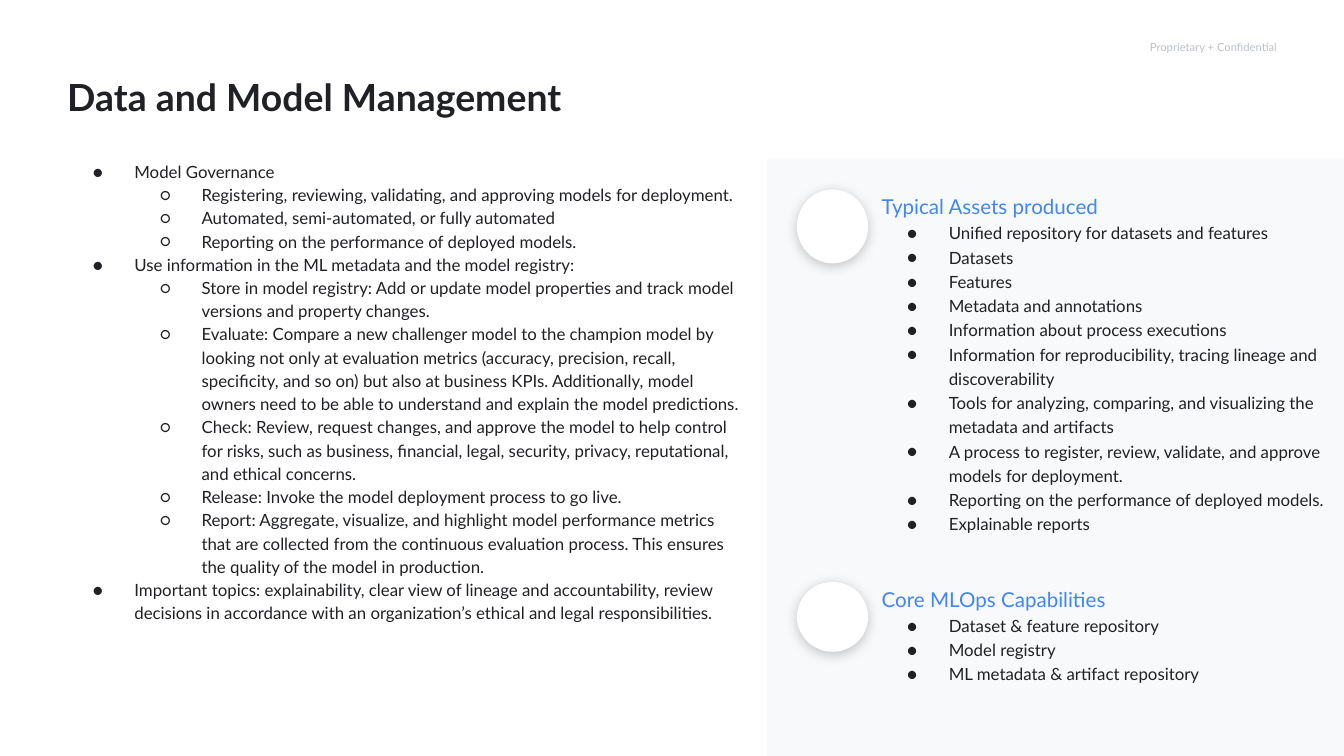
from lxml.etree import SubElement
from pptx import Presentation
from pptx.dml.color import RGBColor
from pptx.enum.shapes import MSO_SHAPE as SHAPE
from pptx.enum.text import MSO_ANCHOR as ANCHOR, PP_ALIGN as ALIGN
from pptx.oxml.ns import qn
from pptx.util import Inches, Pt

FONT = "Lato"
INK, BLUE, GREY, PANEL, WHITE = "202124", "4285F4", "BDC1C6", "F8F9FA", "FFFFFF"

GOVERNANCE = [
    (0, "Model Governance"),
    (1, "Registering, reviewing, validating, and approving models for deployment."),
    (1, "Automated, semi-automated, or fully automated"),
    (1, "Reporting on the performance of deployed models."),
    (0, "Use information in the ML metadata and the model registry:"),
    (1, "Store in model registry: Add or update model properties and track model "
        "versions and property changes."),
    (1, "Evaluate: Compare a new challenger model to the champion model by looking "
        "not only at evaluation metrics (accuracy, precision, recall, specificity, "
        "and so on) but also at business KPIs. Additionally, model owners need to "
        "be able to understand and explain the model predictions."),
    (1, "Check: Review, request changes, and approve the model to help control for "
        "risks, such as business, financial, legal, security, privacy, "
        "reputational, and ethical concerns."),
    (1, "Release: Invoke the model deployment process to go live."),
    (1, "Report: Aggregate, visualize, and highlight model performance metrics that "
        "are collected from the continuous evaluation process. This ensures the "
        "quality of the model in production."),
    (0, "Important topics: explainability, clear view of lineage and "
        "accountability, review decisions in accordance with an organization’s "
        "ethical and legal responsibilities."),
]
ASSETS = [
    "Unified repository for datasets and features",
    "Datasets",
    "Features",
    "Metadata and annotations",
    "Information about process executions",
    "Information for reproducibility, tracing lineage and discoverability",
    "Tools for analyzing, comparing, and visualizing the metadata and artifacts",
    "A process to register, review, validate, and approve models for deployment.",
    "Reporting on the performance of deployed models.",
    "Explainable reports",
]
CAPABILITIES = [
    "Dataset & feature repository",
    "Model registry",
    "ML metadata & artifact repository",
]


def rgb(color):
    """Turn a hex string into a colour."""
    return RGBColor.from_string(color)


def set_frame(sp, right=0):
    """Give a shape a wrapping, top-anchored text frame with slim margins."""
    tf = sp.text_frame
    tf.word_wrap = True
    tf.vertical_anchor = ANCHOR.TOP
    tf.margin_left = tf.margin_top = tf.margin_bottom = 0
    tf.margin_right = Inches(right)
    return tf


def add_text_box(s, left, top, width, height, right=0):
    """Add a text box and return its text frame."""
    box = s.shapes.add_textbox(Inches(left), Inches(top), Inches(width), Inches(height))
    return set_frame(box, right)


def add_paragraph(tf, text, size, color, spacing=1.0, bold=False):
    """Write a paragraph, using the empty first one when it is free."""
    first = tf.paragraphs[0]
    p = tf.add_paragraph() if first.runs else first
    p.alignment = ALIGN.LEFT
    p.line_spacing = spacing
    p.space_before = p.space_after = Pt(0)
    r = p.add_run()
    r.text = text
    r.font.name, r.font.size, r.font.bold = FONT, Pt(size), bold
    r.font.color.rgb = rgb(color)
    return p


def add_bullet(tf, text, spacing, level=0):
    """Write a bulleted paragraph indented by its level."""
    p = add_paragraph(tf, text, 9, INK, spacing)
    p.level = level
    pPr = p._p.get_or_add_pPr()
    pPr.set("marL", str(Inches(0.5 * (level + 1))))
    pPr.set("indent", str(Inches(-0.31)))
    SubElement(SubElement(pPr, qn("a:buClr")), qn("a:srgbClr"), val=INK)
    SubElement(pPr, qn("a:buFont"), typeface=FONT)
    SubElement(pPr, qn("a:buChar"), char="●○"[level])


def add_filled(s, kind, left, top, width, height, color):
    """Add a filled shape without outline or shadow."""
    sp = s.shapes.add_shape(kind, Inches(left), Inches(top), Inches(width), Inches(height))
    sp.shadow.inherit = False
    sp.fill.solid()
    sp.fill.fore_color.rgb = rgb(color)
    sp.line.fill.background()
    return sp


def add_disc(s, top, height):
    """Add a white disc with a soft shadow below it."""
    sp = add_filled(s, SHAPE.OVAL, 5.93, top, 0.53, height, WHITE)
    effects = sp._element.spPr.find(qn("a:effectLst"))
    shadow = SubElement(effects, qn("a:outerShdw"), blurRad=str(Pt(6.8)),
                        dist=str(Pt(1.5)), dir="5400000", algn="t", rotWithShape="0")
    color = SubElement(shadow, qn("a:srgbClr"), val="000000")
    SubElement(color, qn("a:alpha"), val="21000")


def add_section(s, top, width, height, disc_height, heading, items):
    """Add a disc with a blue heading and its bulleted list."""
    add_disc(s, top, disc_height)
    tf = add_text_box(s, 6.56, top, width, height)
    add_paragraph(tf, heading, 11, BLUE, 1.2)
    for item in items:
        add_bullet(tf, item, 1.2)


def add_title(s, text):
    """Place and format the title placeholder."""
    sp = s.shapes.title
    sp.left, sp.top, sp.width, sp.height = map(Inches, (0.5, 0.5, 5.97, 0.52))
    add_paragraph(set_frame(sp, 0.1), text, 20, INK, 1.15, True)


def main():
    """Build the slide and save it."""
    prs = Presentation()
    prs.slide_width, prs.slide_height = Inches(10), Inches(5.625)
    s = prs.slides.add_slide(prs.slide_layouts[5])
    add_title(s, "Data and Model Management")
    tf = add_text_box(s, 8.47, 0.3, 1.03, 0.2)
    add_paragraph(tf, "Proprietary + Confidential", 6, GREY).alignment = ALIGN.RIGHT
    add_filled(s, SHAPE.RECTANGLE, 5.71, 1.18, 4.29, 4.45, PANEL)
    tf = add_text_box(s, 0.5, 1.18, 5.12, 4.1, 0.1)
    for level, text in GOVERNANCE:
        add_bullet(tf, text, 1.15, level)
    add_section(s, 1.41, 3.29, 2.88, 0.55, "Typical Assets produced", ASSETS)
    add_section(s, 4.33, 2.92, 0.89, 0.52, "Core MLOps Capabilities", CAPABILITIES)
    prs.save("out.pptx")


if __name__ == "__main__":
    main()
